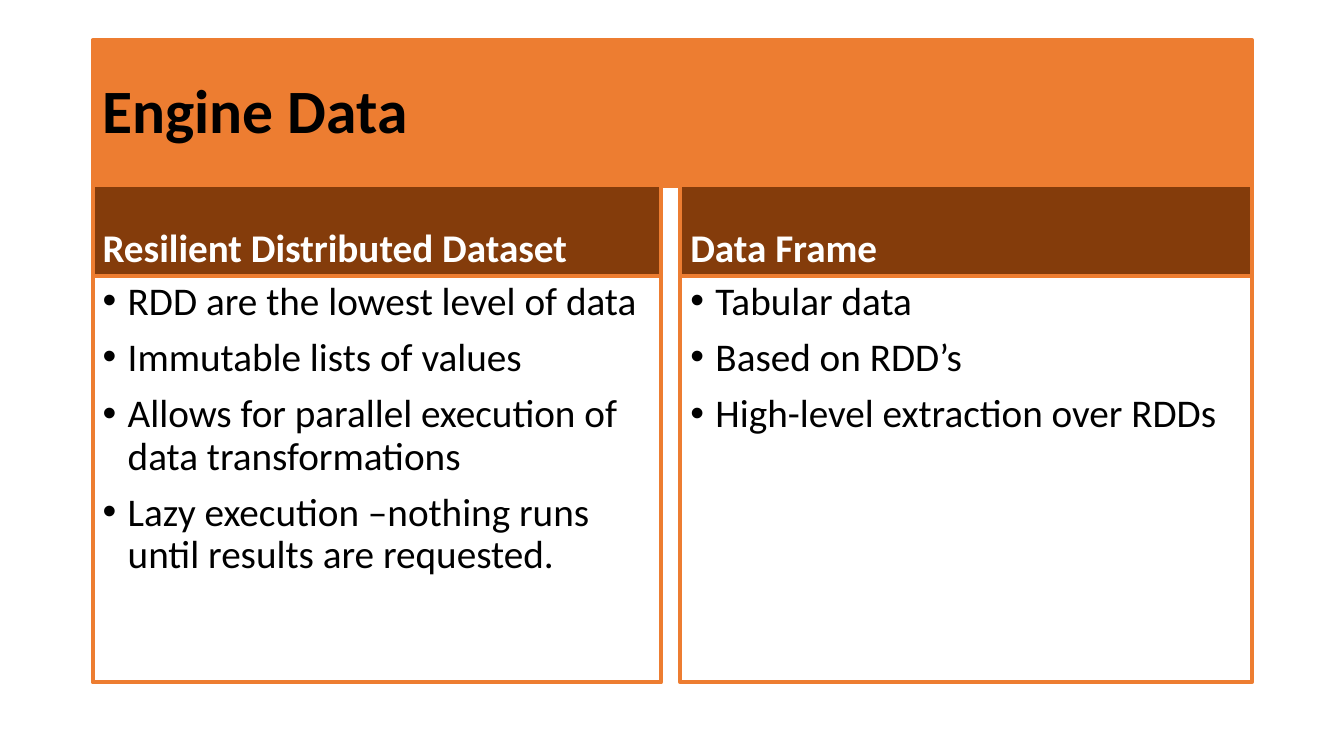
"""Build the Engine Data slide: a title bar above two headed columns."""
import pptx
import pptx.util
import pptx.dml.color
import pptx.enum.shapes
import pptx.enum.text
import pptx.oxml.ns
import lxml.etree

Pt = pptx.util.Pt
anchor = pptx.enum.text.MSO_ANCHOR
ORANGE, BROWN, BLACK, WHITE = "ED7D31", "843C0B", "000000", "FFFFFF"


def color(code):
    """Turn a hex string into a colour."""
    return pptx.dml.color.RGBColor.from_string(code)


def add_box(text, area, fill=None, ink=BLACK, size=28, bold=False,
            place=anchor.TOP, before=10, bullet=False):
    """Add an outlined box with one paragraph per line of text."""
    box = slide.shapes.add_shape(pptx.enum.shapes.MSO_SHAPE.RECTANGLE, *map(Pt, area))
    box.shadow.inherit = False
    box.line.color.rgb = color(ORANGE)
    box.line.width = Pt(3)
    if fill:
        box.fill.solid()
        box.fill.fore_color.rgb = color(fill)
    else:
        box.fill.background()
    frame = box.text_frame
    frame.word_wrap = True
    frame.vertical_anchor = place
    frame.text = text
    for para in frame.paragraphs:
        para.alignment = pptx.enum.text.PP_ALIGN.LEFT
        para.line_spacing = 0.9
        para.space_before = Pt(before)
        font = para.runs[0].font
        font.name, font.size, font.bold = "Calibri", Pt(size), bold
        font.color.rgb = color(ink)
        if bullet:
            props = para._p.get_or_add_pPr()
            props.set("marL", str(Pt(18)))
            props.set("indent", str(Pt(-18)))
            for tag, key, value in (("a:buFont", "typeface", "Arial"),
                                    ("a:buChar", "char", "•")):
                mark = lxml.etree.SubElement(props, pptx.oxml.ns.qn(tag))
                mark.set(key, value)


deck = pptx.Presentation()
deck.slide_width, deck.slide_height = Pt(960), Pt(540)
slide = deck.slides.add_slide(deck.slide_layouts[6])

add_box("Engine Data", (66.2, 28.75, 828, 104.4), fill=ORANGE, size=44, bold=True,
        place=anchor.MIDDLE, before=0)

columns = [
    (66.2, 406.1, "Resilient Distributed Dataset",
     ["RDD are the lowest level of data",
      "Immutable lists of values",
      "Allows for parallel execution of data transformations",
      "Lazy execution –nothing runs until results are requested."]),
    (486, 408.2, "Data Frame",
     ["Tabular data",
      "Based on RDD’s",
      "High-level extraction over RDDs"]),
]
top, head, body = 132.4, 64.9, 290.1
for left, width, name, points in columns:
    add_box(name, (left, top, width, head), fill=BROWN, ink=WHITE, bold=True,
            place=anchor.BOTTOM)
    add_box("\n".join(points), (left, top + head, width, body), bullet=True)

deck.save("out.pptx")
